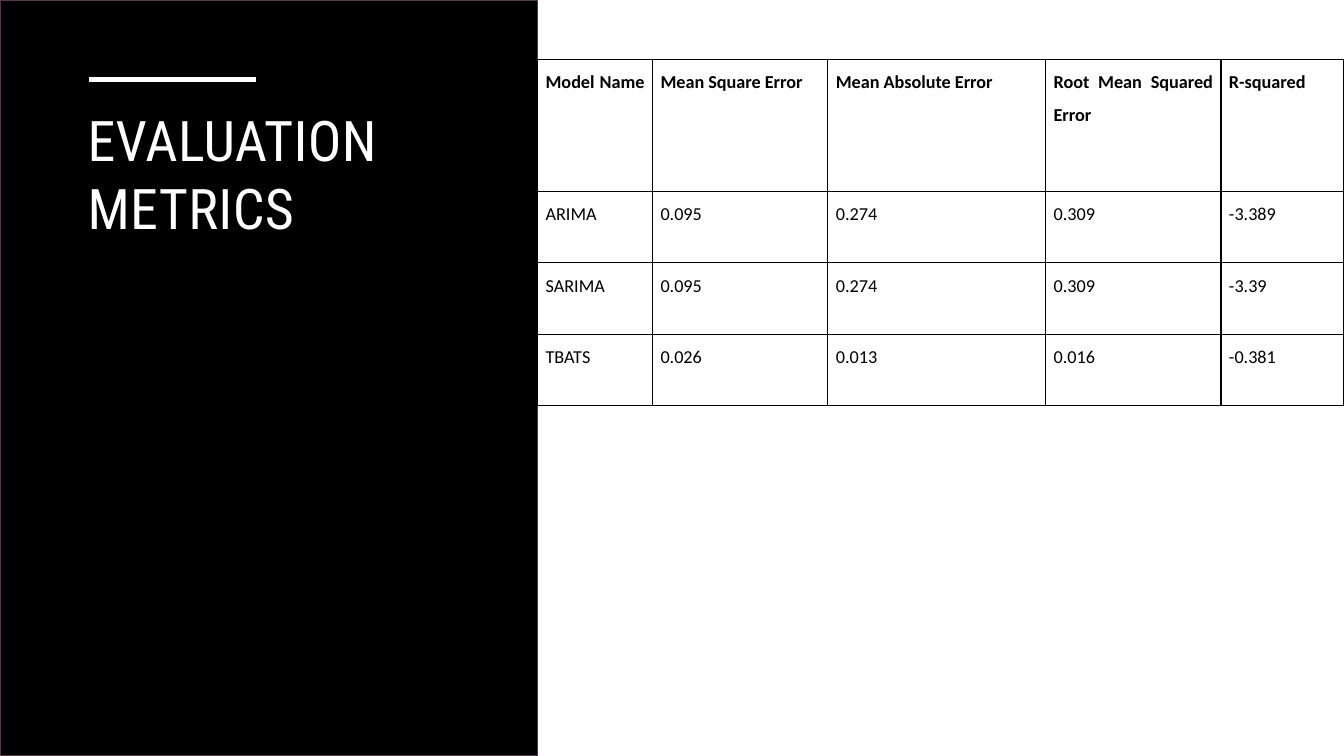
from dataclasses import dataclass

from lxml.etree import SubElement
from pptx import Presentation
from pptx.dml.color import RGBColor
from pptx.enum.shapes import MSO_CONNECTOR, MSO_SHAPE
from pptx.enum.text import MSO_ANCHOR, PP_ALIGN
from pptx.oxml import parse_xml
from pptx.oxml.ns import nsdecls, qn
from pptx.util import Emu, Inches, Pt


@dataclass(frozen=True)
class Theme:
    ink: str = "000000"
    paper: str = "FFFFFF"
    plum: str = "55374C"
    head: str = "Roboto Condensed"
    body: str = "Calibri"
    title: float = 40
    cell: float = 13
    edge: float = 1
    rule: float = 3.5


@dataclass(frozen=True)
class Box:
    """A place on the slide grid, in columns and rows."""
    left: float
    top: float
    width: float
    height: float


@dataclass(frozen=True)
class Model:
    name: str
    mse: str
    mae: str
    rmse: str
    rsq: str

    def cells(self) -> tuple[str, ...]:
        return self.name, self.mse, self.mae, self.rmse, self.rsq


THEME = Theme()
WIDTH, HEIGHT = Inches(13.333), Inches(7.5)
COLS, ROWS = 40, 20

PANEL = Box(0, 0, 16, 20)
RULE = Box(2.64, 2.11, 4.98, 0)
TITLE = Box(2.31, 2.67, 12.21, 10.69)
SPANS = (3.42, 5.22, 6.48, 5.22, 3.66)
TALLS = (3.49, 1.89, 1.89, 1.89)
GRID = Box(16, 1.57, sum(SPANS), sum(TALLS))

MODELS = (
    Model("Model Name ", "Mean Square Error", "Mean Absolute Error",
          "Root Mean Squared Error", "R-squared "),
    Model("ARIMA ", "0.095", "0.274", "0.309", "-3.389"),
    Model("SARIMA", "0.095", "0.274", "0.309", "-3.39"),
    Model("TBATS", "0.026", "0.013", "0.016", "-0.381"),
)


def across(cols: float) -> Emu:
    return Emu(round(WIDTH * cols / COLS))


def down(rows: float) -> Emu:
    return Emu(round(HEIGHT * rows / ROWS))


def place(box: Box) -> tuple[Emu, Emu, Emu, Emu]:
    return across(box.left), down(box.top), across(box.width), down(box.height)


def color(code: str) -> RGBColor:
    return RGBColor.from_string(code)


def add_run(para, text: str, face: str, size: float, code: str, bold: bool = False):
    run = para.add_run()
    run.text = text
    run.font.name = face
    run.font.size = Pt(size)
    run.font.bold = bold
    run.font.color.rgb = color(code)
    return run


def add_panel(slide) -> None:
    panel = slide.shapes.add_shape(MSO_SHAPE.RECTANGLE, *place(PANEL))
    panel.shadow.inherit = False
    panel.fill.solid()
    panel.fill.fore_color.rgb = color(THEME.ink)
    panel.line.color.rgb = color(THEME.plum)
    panel.line.width = Pt(THEME.edge)


def add_rule(slide) -> None:
    left, top, width, _ = place(RULE)
    rule = slide.shapes.add_connector(
        MSO_CONNECTOR.STRAIGHT, left, top, left + width, top)
    rule.line.color.rgb = color(THEME.paper)
    rule.line.width = Pt(THEME.rule)
    SubElement(rule._element.spPr, qn("a:effectLst"))


def add_title(slide) -> None:
    frame = slide.shapes.add_textbox(*place(TITLE)).text_frame
    frame.word_wrap = True
    frame.vertical_anchor = MSO_ANCHOR.TOP
    run = add_run(frame.paragraphs[0], "EVALUATION METRICS",
                  THEME.head, THEME.title, THEME.paper)
    run.font._element.set("spc", "30")


def add_edges(cell) -> None:
    props = cell._tc.get_or_add_tcPr()
    for spot, side in enumerate("LRTB"):
        props.insert(spot, parse_xml(
            f'<a:ln{side} {nsdecls("a")} w="{Pt(THEME.edge)}"><a:solidFill>'
            f'<a:srgbClr val="{THEME.ink}"/></a:solidFill></a:ln{side}>'))


def fill_cell(cell, text: str, bold: bool) -> None:
    cell.margin_left = cell.margin_right = Inches(0.08)
    cell.margin_top, cell.margin_bottom = Inches(0.01), 0
    cell.vertical_anchor = MSO_ANCHOR.TOP
    cell.fill.background()
    add_edges(cell)
    para = cell.text_frame.paragraphs[0]
    para.alignment = PP_ALIGN.JUSTIFY
    para.line_spacing = 1.5
    add_run(para, text, THEME.body, THEME.cell, THEME.ink, bold)


def add_grid(slide) -> None:
    table = slide.shapes.add_table(len(TALLS), len(SPANS), *place(GRID)).table
    table.first_row = table.horz_banding = False
    for col, span in zip(table.columns, SPANS):
        col.width = across(span)
    for row, tall in zip(table.rows, TALLS):
        row.height = down(tall)
    for r, model in enumerate(MODELS):
        for c, text in enumerate(model.cells()):
            fill_cell(table.cell(r, c), text, bold=r == 0)


def main() -> None:
    deck = Presentation()
    deck.slide_width, deck.slide_height = WIDTH, HEIGHT
    slide = deck.slides.add_slide(deck.slide_layouts[6])
    slide.background.fill.solid()
    slide.background.fill.fore_color.rgb = color(THEME.paper)
    for draw in (add_panel, add_rule, add_title, add_grid):
        draw(slide)
    deck.save("out.pptx")


if __name__ == "__main__":
    main()
